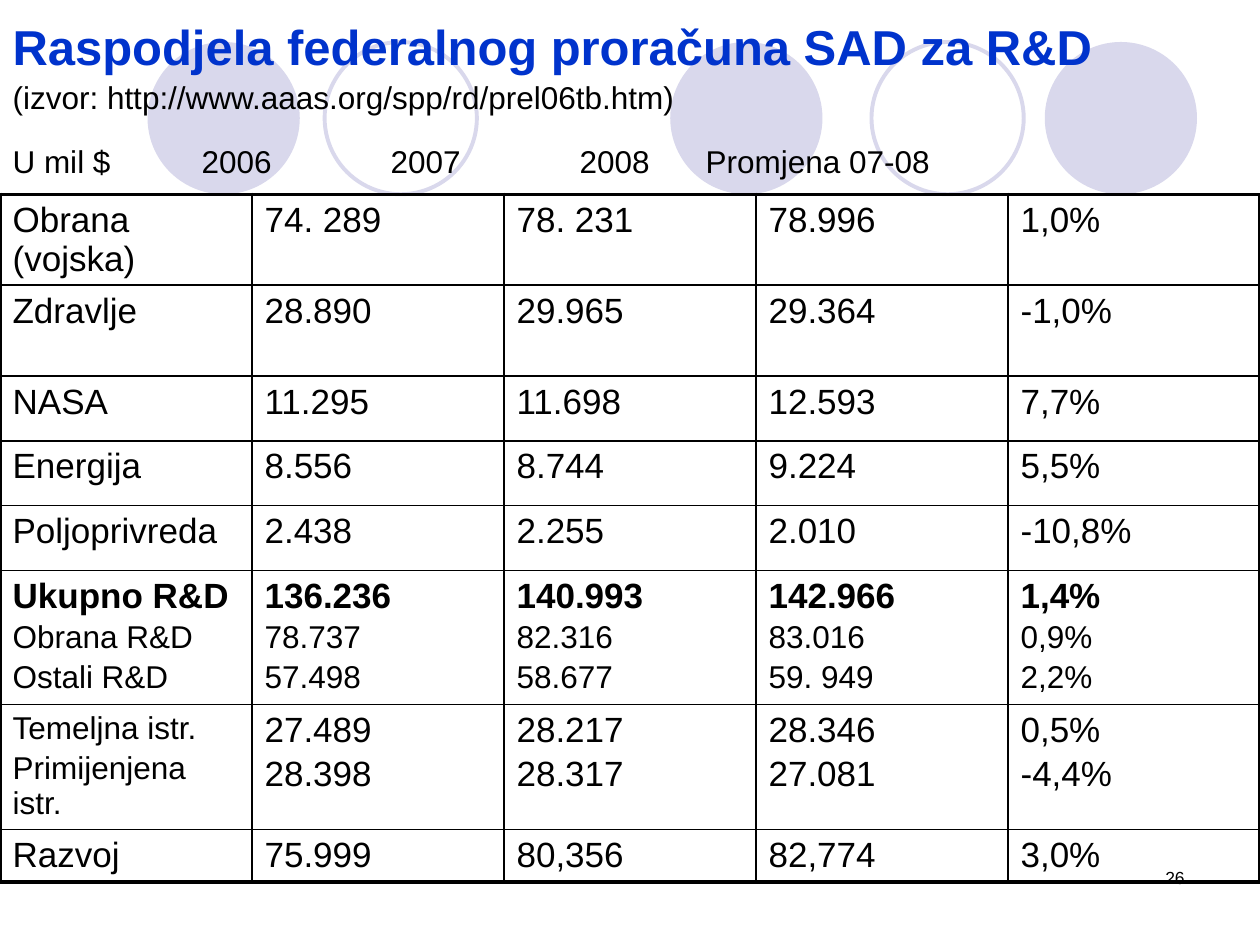
from dataclasses import dataclass
from pptx import Presentation
from pptx.dml.color import RGBColor as RGB
from pptx.enum.shapes import MSO_SHAPE as Kind
from pptx.enum.text import MSO_ANCHOR as Anchor, MSO_AUTO_SIZE as Fit, PP_ALIGN as Align
from pptx.oxml.ns import qn
from pptx.util import Pt
from lxml.etree import SubElement


@dataclass(frozen=True)
class Theme:
    face: str = "Arial"
    ink: RGB = RGB(0, 0, 0)
    blue: RGB = RGB(0x00, 0x33, 0xCC)
    lilac: RGB = RGB(0xD9, 0xD8, 0xEC)
    head: float = 28
    gap: float = 38
    big: float = 20
    small: float = 18
    tiny: float = 10
    thick: float = 2.25
    thin: float = 1


T = Theme()


def style(font, size, color=T.ink, bold=False):
    font.name, font.size, font.bold = T.face, Pt(size), bold
    font.color.rgb = color


def edge(cell, side, width):
    """Draw one border of a table cell; sides go in the order L, R, T, B."""
    line = SubElement(cell._tc.get_or_add_tcPr(), qn("a:ln" + side), w=str(Pt(width)))
    fill = SubElement(line, qn("a:solidFill"))
    SubElement(fill, qn("a:srgbClr"), val=str(T.ink))


deck = Presentation()
deck.slide_width, deck.slide_height = Pt(720), Pt(540)
slide = deck.slides.add_slide(deck.slide_layouts[1])
shapes = slide.shapes
title, body = slide.placeholders

# Circles behind the heading
circles = [(383, True), (597, True), (84.3, True), (498, False), (185.5, False)]
for place, (left, solid) in enumerate(circles, 2):
    disc = shapes.add_shape(Kind.OVAL, Pt(left), Pt(24), Pt(87), Pt(87))
    disc.shadow.inherit = False
    if solid:
        disc.fill.solid()
        disc.fill.fore_color.rgb = T.lilac
        disc.line.fill.background()
    else:
        disc.fill.background()
        disc.line.color.rgb = T.lilac
        disc.line.width = Pt(T.thick)
    shapes._spTree.insert(place, disc._element)

# Title with source line
title.left, title.top, title.width, title.height = Pt(0), Pt(0), Pt(720), Pt(65.5)
frame = title.text_frame
frame.auto_size, frame.word_wrap = Fit.NONE, True
frame.vertical_anchor = Anchor.MIDDLE
para = frame.paragraphs[0]
para.alignment = Align.LEFT
for text, size, color, bold in [
    ("Raspodjela federalnog proračuna SAD za R&D", T.head, T.blue, True),
    (" ", T.gap, T.blue, False),
    ("(izvor: http://www.aaas.org/spp/rd/prel06tb.htm)", T.small, T.ink, False),
]:
    if size == T.small:
        para.add_line_break()
    run = para.add_run()
    run.text = text
    style(run.font, size, color, bold)

# Column heads, set on tab stops
body.left, body.top, body.width, body.height = Pt(0), Pt(77.5), Pt(720), Pt(487)
frame = body.text_frame
frame.auto_size, frame.word_wrap = Fit.NONE, True
frame.text = "U mil $\t\t2006\t\t2007\t\t2008\tPromjena 07-08"
para = frame.paragraphs[0]
props = para._p.get_or_add_pPr()
props.set("marL", "0")
props.set("indent", "0")
SubElement(props, qn("a:buNone"))
tabs = SubElement(props, qn("a:tabLst"))
for step in range(1, 8):
    SubElement(tabs, qn("a:tab"), pos=str(Pt(27 + 72 * step)), algn="l")
para.space_before = Pt(0)
style(para.font, T.small)

# Budget table: row height, then cells; a newline starts a paragraph
rows = [
    (52, "Obrana (vojska)", "74. 289", "78. 231", "78.996", "1,0%"),
    (52, "Zdravlje", "28.890", "29.965", "29.364", "-1,0%"),
    (37, "NASA", "11.295", "11.698", "12.593", "7,7%"),
    (37, "Energija", "8.556", "8.744", "9.224", "5,5%"),
    (37, "Poljoprivreda", "2.438", "2.255", "2.010", "-10,8%"),
    (76.7, "Ukupno R&D\nObrana R&D\nOstali R&D", "136.236\n78.737\n57.498",
     "140.993\n82.316\n58.677", "142.966\n83.016\n59. 949", "1,4%\n0,9%\n2,2%"),
    (71.5, "Temeljna istr.\nPrimijenjena istr.", "27.489\n28.398",
     "28.217\n28.317", "28.346\n27.081", "0,5%\n-4,4%"),
    (29.8, "Razvoj", "75.999", "80,356", "82,774", "3,0%"),
]
total, split = 5, 6
last = len(rows) - 1
high = sum(row[0] for row in rows)
table = shapes.add_table(len(rows), 5, Pt(0), Pt(111), Pt(720), Pt(high)).table
table.first_row = table.horz_banding = False
for col in table.columns:
    col.width = Pt(144)
for r, (tall, *texts) in enumerate(rows):
    table.rows[r].height = Pt(tall)
    for c, text in enumerate(texts):
        cell = table.cell(r, c)
        cell.text = text
        for n, para in enumerate(cell.text_frame.paragraphs):
            small = (r == total and n > 0) or (r == split and c == 0)
            para.space_before = Pt(2.5 if n else 0)
            style(para.font, T.small if small else T.big, bold=r == total and n == 0)
        for side, outer in [("L", c == 0), ("R", c == 4), ("T", r == 0), ("B", r == last)]:
            edge(cell, side, T.thick if outer else T.thin)
        cell.fill.background()

# Page number
page = shapes.add_textbox(Pt(516), Pt(492), Pt(168), Pt(36)).text_frame
page.word_wrap = True
page.text = "26"
page.paragraphs[0].alignment = Align.RIGHT
style(page.paragraphs[0].font, T.tiny)

deck.save("out.pptx")
